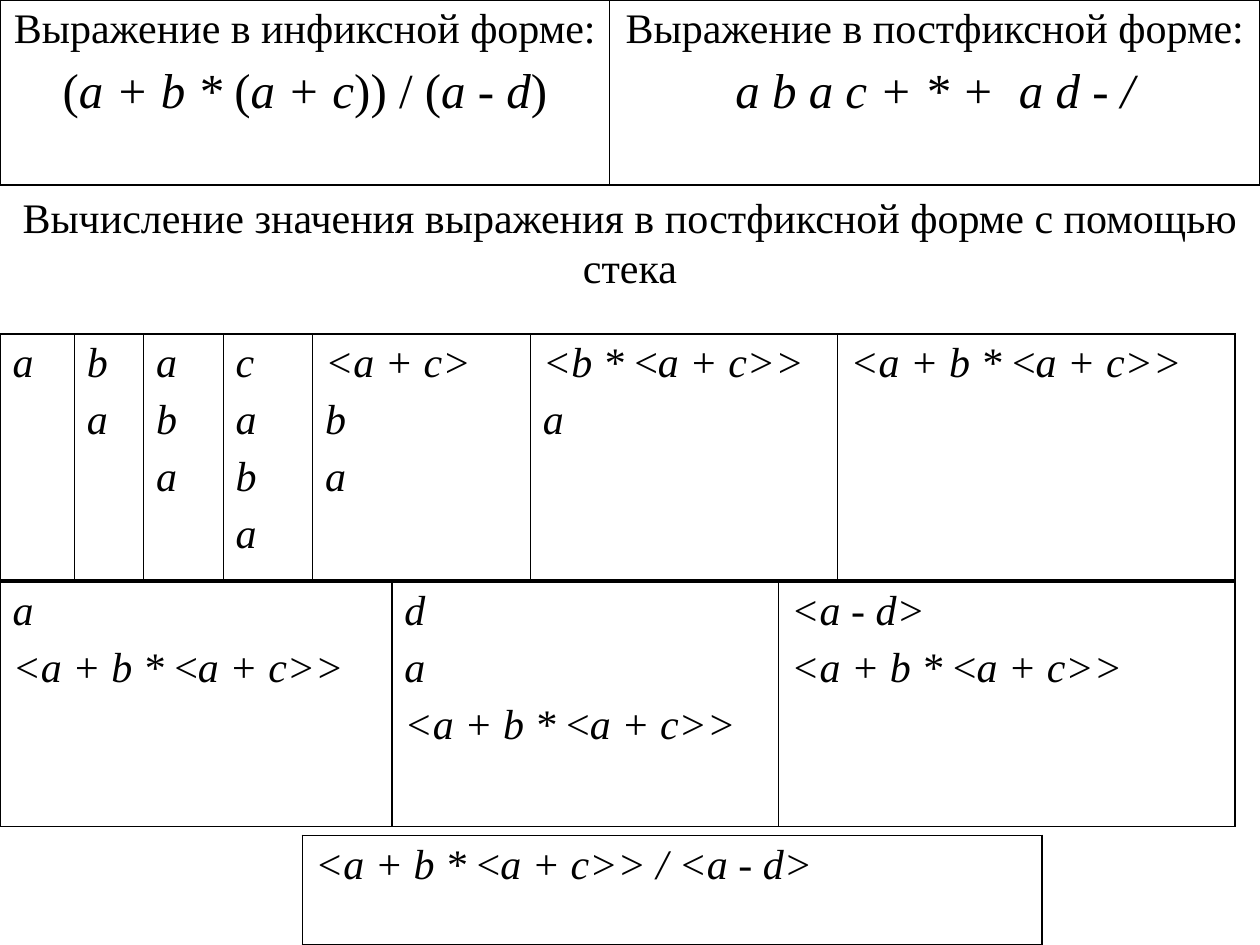
"""Build a slide that evaluates a postfix expression with a stack."""
from dataclasses import dataclass

from lxml.etree import SubElement
from pptx import Presentation
from pptx.dml.color import RGBColor
from pptx.enum.text import MSO_ANCHOR, MSO_AUTO_SIZE, PP_ALIGN
from pptx.oxml.ns import qn
from pptx.slide import Slide
from pptx.table import _Cell as Cell
from pptx.text.text import _Paragraph as Para
from pptx.util import Pt

COLORS = {"ink": "000000", "page": "FFFFFF"}
FONT = "Times New Roman"
TEXT_SIZE, FORMULA_SIZE = 24, 28
THICK, THIN = 1.08, 0.45
SUM = "<a + b * |<|a + c>>"
HEADING = "Вычисление значения выражения в постфиксной форме с помощью стека"


@dataclass
class Line:
    """A line whose parts between bars alternate italic and upright."""
    text: str
    size: float = TEXT_SIZE
    gap: float = 6


@dataclass
class Grid:
    """A one-row table; every cell lists its lines."""
    left: float
    top: float
    height: float
    widths: list[float]
    cells: list[list[Line]]
    inner: float = THICK
    align: PP_ALIGN = PP_ALIGN.LEFT


def stack(*texts: str) -> list[Line]:
    """Return the stack contents from top to bottom."""
    return [Line(text) for text in texts]


def expression(label: str, formula: str) -> list[Line]:
    """Return an upright label above a larger formula."""
    return [Line(f"|{label}"), Line(formula, FORMULA_SIZE, 7)]


GRIDS = [
    Grid(0, 0, 105.84, [348.48, 371.52], [
        expression("Выражение в инфиксной форме:", "|(|a + b * |(|a + c|)) / (|a - d|)"),
        expression("Выражение в постфиксной форме:", "a b a c + * +  a d - /"),
    ], THIN, PP_ALIGN.CENTER),
    Grid(0, 190.8, 139.68, [42.48, 39.6, 45.36, 51.12, 124.56, 175.68, 226.8], [
        stack("a"),
        stack("b", "a"),
        stack("a", "b", "a"),
        stack("c", "a", "b", "a"),
        stack("<a + c>", "b", "a"),
        stack("<b * |<|a + c>>", "a"),
        stack(SUM),
    ], THIN),
    Grid(0, 332.64, 139.68, [223.92, 221.04, 260.64], [
        stack("a", SUM),
        stack("d", "a", SUM),
        stack("<a - d>", SUM),
    ]),
    Grid(172.8, 477.36, 62.64, [422.64], [stack(f"{SUM} / <a - d>")]),
]


def write_line(para: Para, line: Line, align: PP_ALIGN, first: bool) -> None:
    """Write one line with its alternating runs."""
    para.alignment = align
    para.space_before = Pt(0 if first else line.gap)
    for index, part in enumerate(line.text.split("|")):
        if part:
            span = para.add_run()
            span.text = part
            span.font.name = FONT
            span.font.size = Pt(line.size)
            span.font.bold = False
            span.font.italic = index % 2 == 0
            span.font.color.rgb = RGBColor.from_string(COLORS["ink"])


def set_borders(cell: Cell, widths: dict[str, float]) -> None:
    """Draw the four cell borders with the given widths."""
    properties = cell._tc.get_or_add_tcPr()
    for side, width in widths.items():
        border = SubElement(properties, qn(f"a:ln{side}"), w=str(Pt(width)))
        fill = SubElement(border, qn("a:solidFill"))
        SubElement(fill, qn("a:srgbClr"), val=COLORS["ink"])


def draw_grid(page: Slide, grid: Grid) -> None:
    """Draw a one-row table."""
    count = len(grid.widths)
    frame = page.shapes.add_table(1, count, Pt(grid.left), Pt(grid.top),
                                  Pt(sum(grid.widths)), Pt(grid.height))
    table = frame.table
    table.first_row = table.horz_banding = False
    for index, (width, lines) in enumerate(zip(grid.widths, grid.cells)):
        table.columns[index].width = Pt(width)
        cell = table.cell(0, index)
        set_borders(cell, {
            "L": THICK if index == 0 else grid.inner,
            "R": THICK if index == count - 1 else grid.inner,
            "T": THICK,
            "B": THICK,
        })
        cell.fill.background()
        for number, line in enumerate(lines):
            body = cell.text_frame
            para = body.add_paragraph() if number else body.paragraphs[0]
            write_line(para, line, grid.align, number == 0)


def draw_heading(page: Slide) -> None:
    """Place the heading in the title placeholder."""
    box = page.shapes.title
    box.left, box.top, box.width, box.height = Pt(0), Pt(105.84), Pt(720), Pt(64.8)
    body = box.text_frame
    body.word_wrap = True
    body.auto_size = MSO_AUTO_SIZE.SHAPE_TO_FIT_TEXT
    body.vertical_anchor = MSO_ANCHOR.TOP
    write_line(body.paragraphs[0], Line(f"|{HEADING}"), PP_ALIGN.CENTER, True)


def main() -> None:
    """Build and save the deck."""
    deck = Presentation()
    deck.slide_width, deck.slide_height = Pt(720), Pt(540)
    page = deck.slides.add_slide(deck.slide_layouts[5])
    page.background.fill.solid()
    page.background.fill.fore_color.rgb = RGBColor.from_string(COLORS["page"])
    draw_heading(page)
    for grid in GRIDS:
        draw_grid(page, grid)
    deck.save("out.pptx")


if __name__ == "__main__":
    main()
